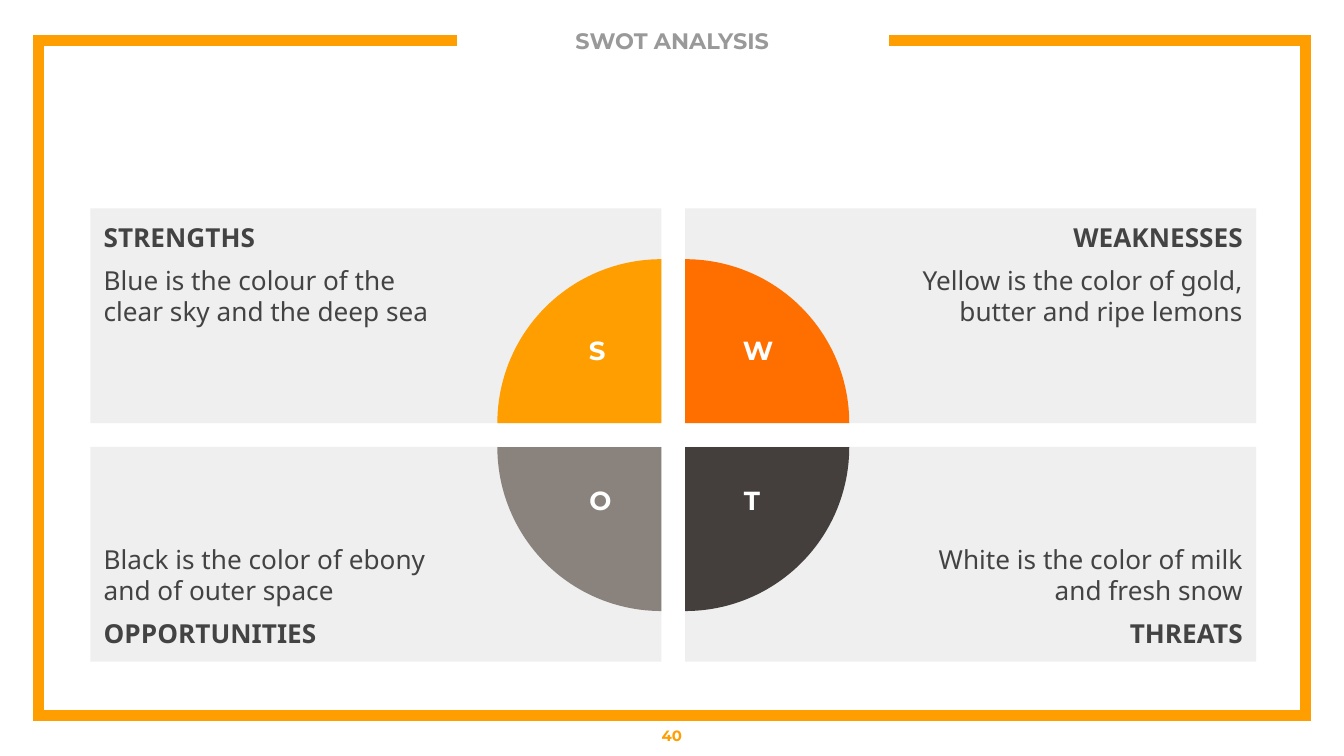
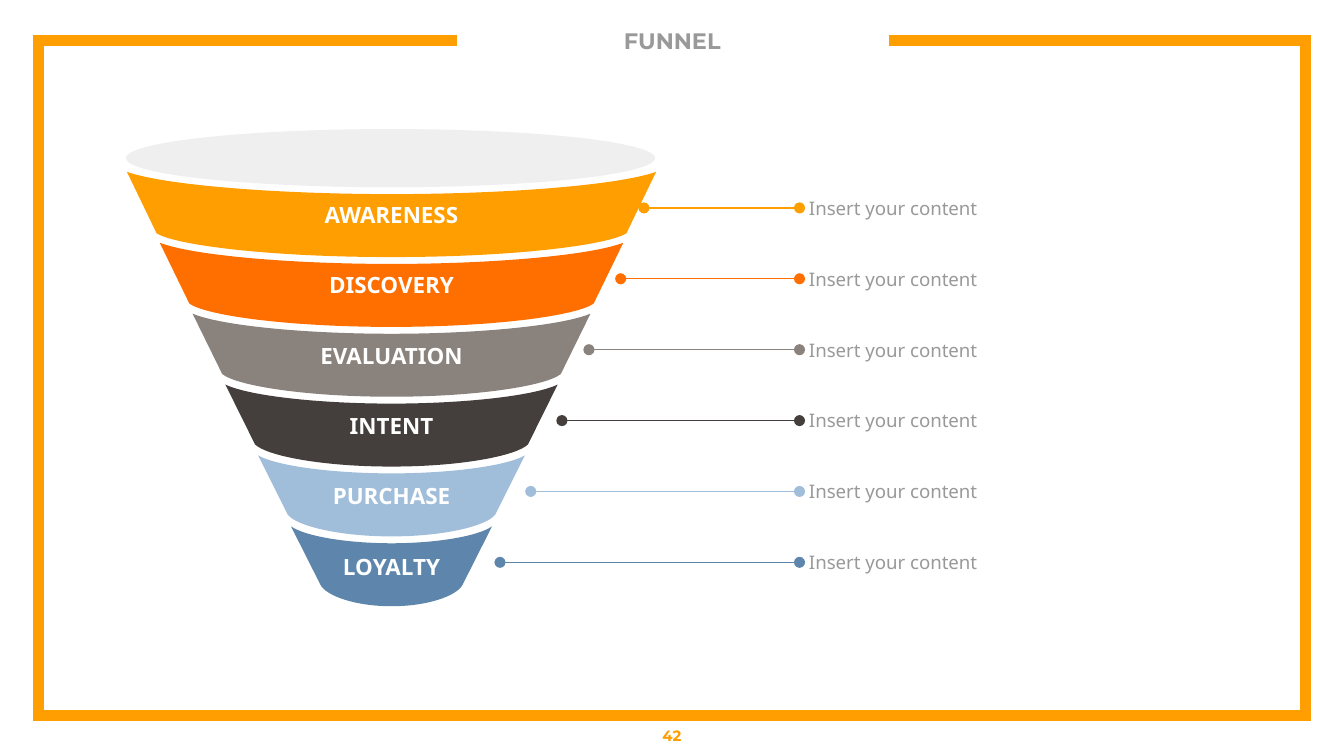
import pptx
import pptx.util
import pptx.dml.color
import pptx.enum.shapes
import pptx.enum.text
import pptx.oxml
import pptx.oxml.ns
from lxml import etree

Cm = pptx.util.Cm
Pt = pptx.util.Pt
RGB = pptx.dml.color.RGBColor.from_string
KIND = pptx.enum.shapes.MSO_SHAPE
ALIGN = pptx.enum.text.PP_ALIGN
ANCHOR = pptx.enum.text.MSO_ANCHOR
qn = pptx.oxml.ns.qn

HUES = {
    "amber": "FF9E00", "orange": "FF6F00", "taupe": "8A827D",
    "coal": "443F3D", "sky": "A0BEDA", "steel": "5E86AC",
    "pale": "EFEFEF", "gray": "999999", "ink": "434343", "white": "FFFFFF",
}
HEAD = "Montserrat"
BODY = "Noto Sans"


def paint(shape, hue):
    shape.shadow.inherit = False
    shape.fill.solid()
    shape.fill.fore_color.rgb = RGB(HUES[hue])
    shape.line.fill.background()


def write(shape, rows, font, size, hue, bold=True, align=ALIGN.CENTER,
          anchor=ANCHOR.MIDDLE, pads=(0, 0, 0, 0)):
    frame = shape.text_frame
    frame.word_wrap = True
    frame.auto_size = pptx.enum.text.MSO_AUTO_SIZE.NONE
    frame.vertical_anchor = anchor
    frame.margin_left, frame.margin_top, frame.margin_right, frame.margin_bottom = map(Cm, pads)
    frame.text = "\n".join(rows)
    for para in frame.paragraphs:
        para.alignment = align
        para.font.name = font
        para.font.size = Pt(size)
        para.font.bold = bold
        para.font.color.rgb = RGB(HUES[hue])
    return frame.paragraphs


deck = pptx.Presentation()
deck.slide_width = Cm(25.4)
deck.slide_height = Cm(14.29)
layout = deck.slide_layouts[5]

slides = []
for name, page in (("SWOT ANALYSIS", "40"), ("FUNNEL", "42")):
    slide = deck.slides.add_slide(layout)
    title = slide.shapes.title
    title.left, title.top, title.width, title.height = Cm(9.01), Cm(0.27), Cm(7.39), Cm(0.99)
    write(title, [name], HEAD, 12, "gray")
    foot = slide.shapes.add_textbox(0, Cm(13.53), Cm(25.4), Cm(0.75))
    write(foot, [page], HEAD, 8, "amber", pads=(0.25,) * 4)
    slides.append(slide)
swot, funnel = slides

path = swot.shapes.build_freeform(Cm(8.64), Cm(0.76), scale=1)
edge = [(0.73, 0.76), (0.73, 13.52), (24.68, 13.52), (24.68, 0.76), (16.8, 0.76)]
path.add_line_segments([(Cm(x), Cm(y)) for x, y in edge], close=False)
border = path.convert_to_shape()
border.shadow.inherit = False
border.fill.background()
border.line.width = Pt(6)
border.line.color.rgb = RGB(HUES["amber"])
etree.SubElement(border.line._get_or_add_ln(), qn("a:miter"), lim="800000")
layout.shapes._spTree.append(border._element)

WIDE, HIGH, GAP, SIZE = 10.79, 4.06, 0.45, 6.2
cards = [
    ("STRENGTHS", "Blue is the colour of the clear sky and the deep sea", "S", "amber", 0, 0, 0, 11.29),
    ("WEAKNESSES", "Yellow is the color of gold, butter and ripe lemons", "W", "orange", 1, 0, 90, 14.33),
    ("THREATS", "White is the color of milk and fresh snow", "T", "coal", 1, 1, 180, 14.21),
    ("OPPORTUNITIES", "Black is the color of ebony and of outer space", "O", "taupe", 0, 1, 270, 11.35),
]
for head, text, mark, hue, col, row, turn, mid in cards:
    left = 1.71 + col * (WIDE + GAP)
    top = 3.94 + row * (HIGH + GAP)
    card = swot.shapes.add_shape(KIND.RECTANGLE, Cm(left), Cm(top), Cm(WIDE), Cm(HIGH))
    paint(card, "pale")
    paras = write(
        card, [text, head] if row else [head, text], BODY, 14, "ink", False,
        ALIGN.RIGHT if col else ALIGN.LEFT, ANCHOR.BOTTOM if row else ANCHOR.TOP,
        (3.81, 0.25, 0.25, 0.25) if col else (0.25, 0.25, 3.81, 0.25))
    paras[row].font.bold = True
    paras[1].space_before = paras[1].space_after = Pt(6)

    hub = (left + (1 - col) * WIDE, top + (1 - row) * HIGH)
    pie = swot.shapes.add_shape(
        KIND.PIE, Cm(hub[0] - SIZE / 2), Cm(hub[1] - SIZE / 2), Cm(SIZE), Cm(SIZE))
    pie.adjustments[0], pie.adjustments[1] = 108, 162
    pie.rotation = turn
    paint(pie, hue)
    label = swot.shapes.add_textbox(Cm(mid - 0.9), Cm(6.2 + row * 2.82), Cm(1.8), Cm(1.13))
    write(label, [mark], HEAD, 14, "white", anchor=ANCHOR.TOP, pads=(0.25, 0.13, 0.25, 0.13))

AXIS = 7.4
stages = [
    ("AWARENESS", "amber", 12.17), ("DISCOVERY", "orange", 11.73),
    ("EVALUATION", "taupe", 11.13), ("INTENT", "coal", 10.62),
    ("PURCHASE", "sky", 10.03), ("LOYALTY", "steel", 9.45),
]
cone = funnel.shapes.add_group_shape()
for rank, (name, hue, start) in enumerate(stages):
    top = 3.25 + rank * 1.34
    half = 5 - rank * 0.62
    base = half - 0.56
    rim = top + 0.42 - rank * 0.02
    foot = top + 1.16 - rank * 0.01
    low = top + 1.61 - rank * 0.02
    upper = [(-half, top), (-half * 0.85, top + (rim - top) * 0.62), (-half * 0.42, rim), (0, rim)]
    lower = [(-base, foot), (-base * 0.92, (foot + low) / 2), (-base * 0.52, low), (0, low)]
    ring = []
    for side, turn in ((upper, 1), (lower, -1)):
        arc = side + [(-x, y) for x, y in side[-2::-1]]
        ring += arc[::turn]
    points = [(Cm(AXIS + x), Cm(y)) for x, y in ring]
    path = cone.shapes.build_freeform(*points[0], scale=1)
    path.add_line_segments(points[1:])
    band = path.convert_to_shape()
    lines = list(band._element.iter(qn("a:lnTo")))
    for first in (0, 3, 7, 10):
        bend = etree.Element(qn("a:cubicBezTo"))
        lines[first].addprevious(bend)
        for line in lines[first:first + 3]:
            bend.append(line[0])
            line.getparent().remove(line)
    paint(band, hue)
    write(band, [name], BODY, 12, "white", pads=(0.18, 0.1, 0.18, 0.1))

    level = top + 0.68
    link = funnel.shapes.add_connector(
        pptx.enum.shapes.MSO_CONNECTOR.STRAIGHT, Cm(start), Cm(level), Cm(15.11), Cm(level))
    link.line.width = Pt(0.75)
    link.line.color.rgb = RGB(HUES[hue])
    for tip in ("a:headEnd", "a:tailEnd"):
        etree.SubElement(link.line._get_or_add_ln(), qn(tip), type="oval")
    etree.SubElement(link._element.spPr, qn("a:effectLst"))
    note = funnel.shapes.add_textbox(Cm(15.29), Cm(level - 0.48), Cm(7.75), Cm(0.96))
    write(note, ["Insert your content"], BODY, 10, "gray", False, ALIGN.LEFT)

mouth = cone.shapes.add_shape(KIND.OVAL, Cm(AXIS - 5.02), Cm(2.44), Cm(10), Cm(1.1))
paint(mouth, "pale")

deck.save("out.pptx")
